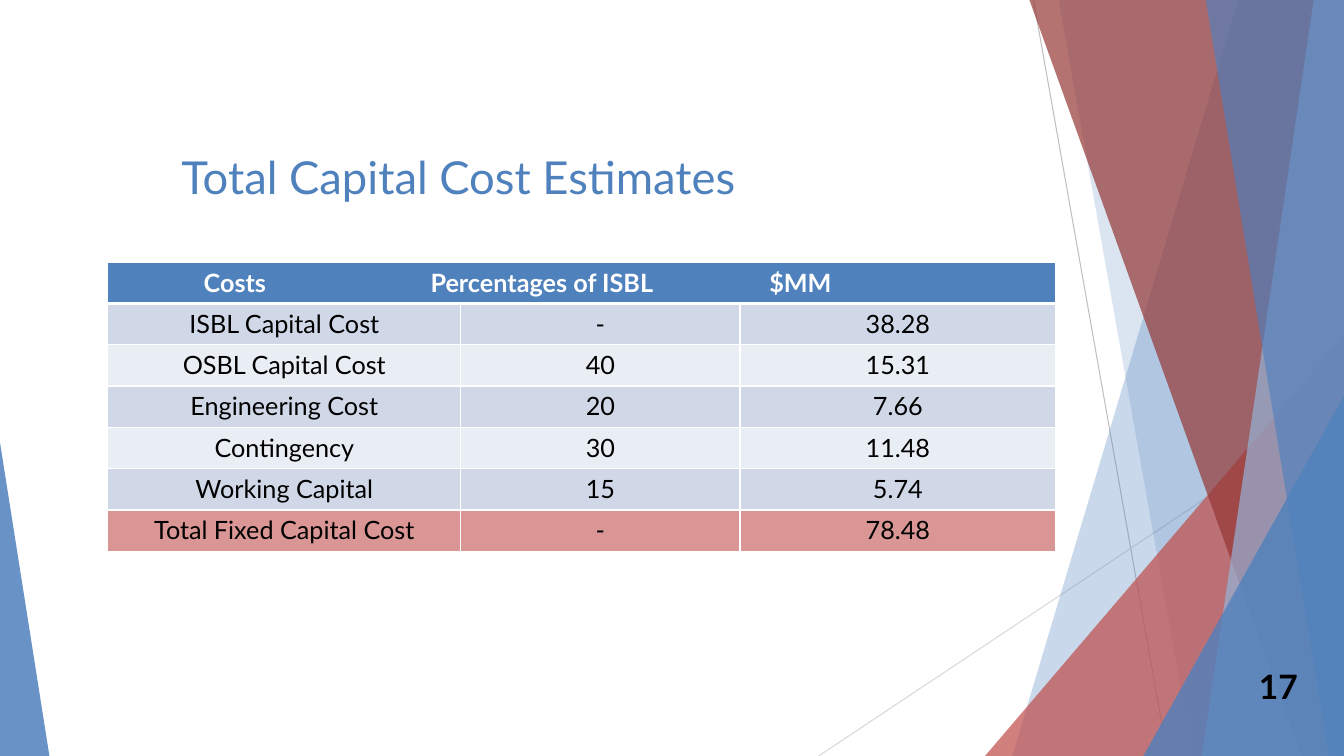
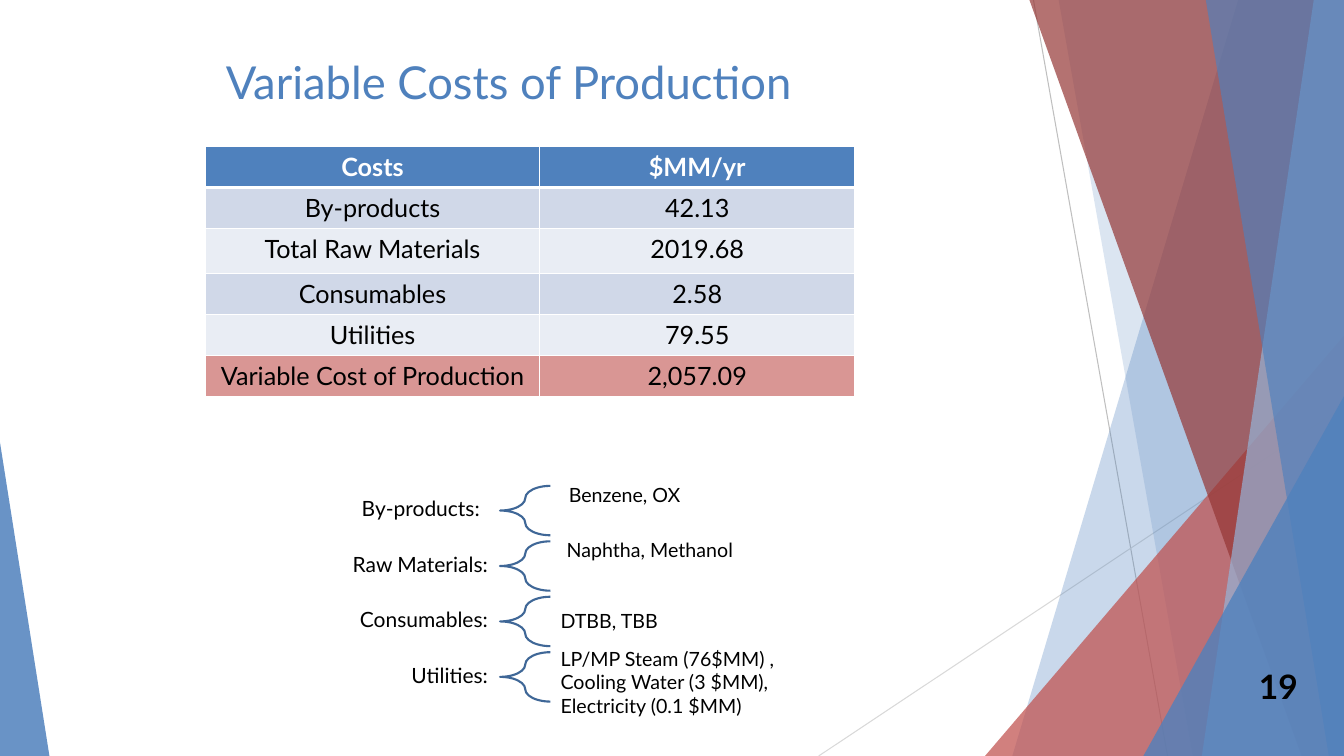
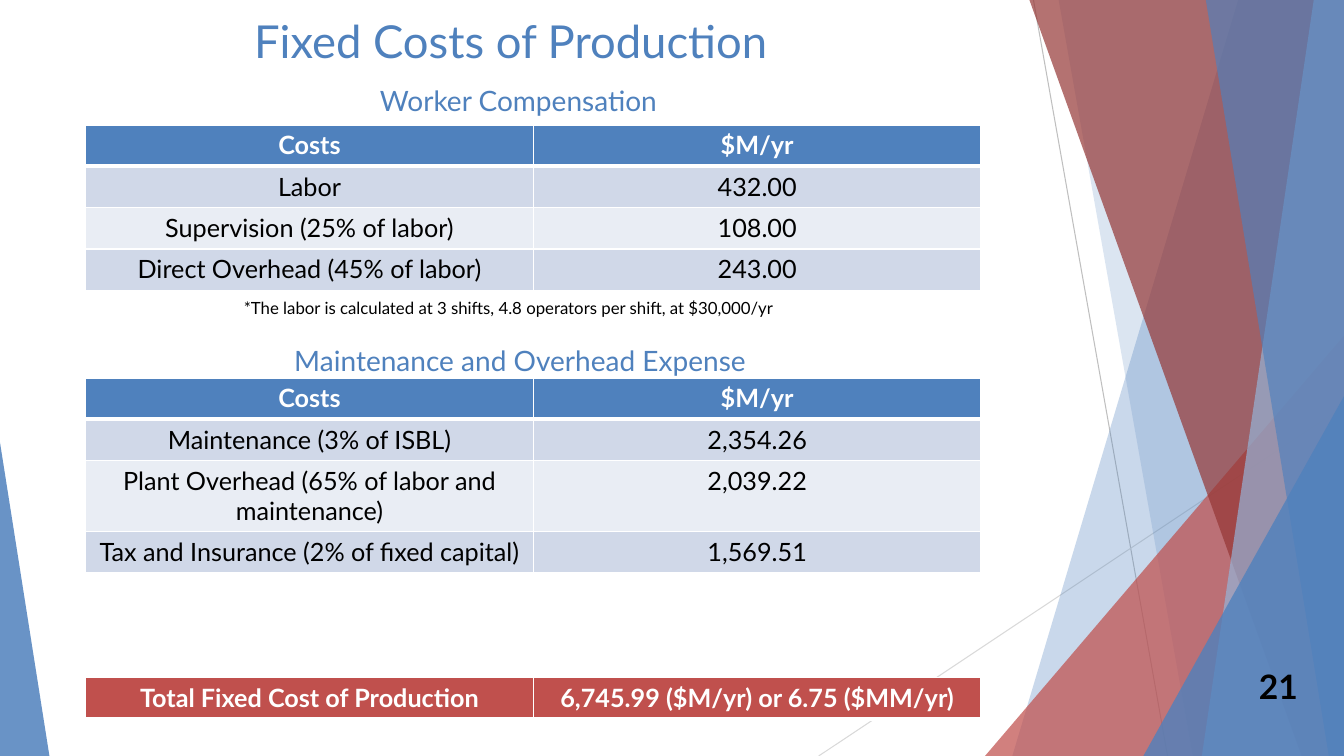
"""Build three slides of plant cost estimates with a shared faceted backdrop."""
from lxml import etree
from pptx import Presentation
from pptx.dml.color import RGBColor
from pptx.enum import shapes, text
from pptx.oxml.ns import qn
from pptx.util import Inches, Pt

FONT = "Lato"
COLORS = {
    "blue": "4F81BD", "sky": "95B3D7", "red": "C0504D", "maroon": "953735",
    "pink": "D99694", "band": "D0D8E8", "pale": "E9EDF4", "brace": "3F6797",
    "black": "000000", "white": "FFFFFF", "gray": "BFBFBF", "silver": "D9D9D9",
}
LEFT, CENTER, RIGHT = text.PP_ALIGN.LEFT, text.PP_ALIGN.CENTER, text.PP_ALIGN.RIGHT
TOP, MIDDLE = text.MSO_ANCHOR.TOP, text.MSO_ANCHOR.MIDDLE
WIDTH, HEIGHT, ROW = 13.33, 7.5, 0.41

RAYS = [((10.25, 0), (11.58, HEIGHT), "gray"), ((WIDTH, 4.03), (8.12, HEIGHT), "silver")]
FACETS = [
    ("strip", (12.28, 10.04), "blue", 30),
    ("strip", (10.5, 11.83), "blue", 20),
    ("peak", (9.77, 3.33, 3.56, 1), "red", 72),
    ("strip", (10.21, 12.91), "maroon", 70),
    ("strip", (13.03, 11.92), "sky", 70),
    ("strip", (11.96, 13.18), "blue", 65),
    ("peak", (11.34, 3.93, 1.99, 1), "blue", 80),
    ("peak", (0, 4.39, 0.49, 0), "blue", 85),
]

CAPITAL = [
    ("\tCosts\tPercentages of ISBL\t$MM", "", ""),
    ("ISBL Capital Cost", "-", "38.28"),
    ("OSBL Capital Cost", "40", "15.31"),
    ("Engineering Cost", "20", "7.66"),
    ("Contingency", "30", "11.48"),
    ("Working Capital", "15", "5.74"),
    ("Total Fixed Capital Cost", "-", "78.48"),
]
HEADING_TABS = (0.85, 3.1, 6.46)
VARIABLE = [
    ("Costs", "$MM/yr"),
    ("By-products", "42.13"),
    ("Total Raw Materials", "2019.68"),
    ("Consumables", "2.58"),
    ("Utilities", "79.55"),
    ("Variable Cost of Production", "2,057.09"),
]
WORKERS = [
    ("Costs", "$M/yr"),
    ("Labor", "432.00"),
    ("Supervision (25% of labor)", "108.00"),
    ("Direct Overhead (45% of labor)", "243.00"),
]
UPKEEP = [
    ("Costs", "$M/yr"),
    ("Maintenance (3% of ISBL)", "2,354.26"),
    ("Plant Overhead (65% of labor and maintenance)", "2,039.22"),
    ("Tax and Insurance (2% of fixed capital)", "1,569.51"),
]
FIXED_TOTAL = [("Total Fixed Cost of Production", "6,745.99 ($M/yr) or 6.75 ($MM/yr)")]
BREAKDOWN = [
    ("By-products:", 3.27, "Benzene, OX", (5.26, 4.66, 1.61, 0.53), RIGHT),
    ("Raw Materials:", 3.35, "Naphtha, Methanol", (5.5, 5.3, 1.98, 0.31), LEFT),
    ("Consumables:", 3.35, "DTBB, TBB", (5.44, 5.89, 1.98, 0.53), LEFT),
    ("Utilities:", 3.35, "LP/MP Steam (76$MM) , Cooling Water (3 $MM), Electricity (0.1 $MM)",
     (5.44, 6.49, 2.76, 0.55), LEFT),
]


def rgb(name):
    return RGBColor.from_string(COLORS[name])


def box(*lengths):
    return [Inches(length) for length in lengths]


def write(frame, words, size=18, color="black", bold=False, align=LEFT, spacing=None, tabs=()):
    line = frame.paragraphs[0]
    line.text = words
    line.alignment = align
    if spacing:
        line.line_spacing = spacing
    if tabs:
        stops = etree.SubElement(line._p.get_or_add_pPr(), qn("a:tabLst"))
        for stop in tabs:
            etree.SubElement(stops, qn("a:tab"), pos=str(Inches(stop)), algn="l")
    font = line.runs[0].font
    font.name, font.size, font.bold = FONT, Pt(size), bold
    font.color.rgb = rgb(color)


def add_text(slide, words, place, anchor=TOP, inset=(0.1, 0.05), **style):
    frame = slide.shapes.add_textbox(*box(*place)).text_frame
    frame.word_wrap = True
    frame.vertical_anchor = anchor
    frame.margin_left = frame.margin_right = Inches(inset[0])
    frame.margin_top = frame.margin_bottom = Inches(inset[1])
    write(frame, words, **style)


def add_facet(slide, kind, place, color, opacity):
    if kind == "strip":
        top, bottom = place
        outline = slide.shapes.build_freeform(*box(top, 0), scale=1.0)
        corners = [(WIDTH, 0), (WIDTH, HEIGHT), (bottom, HEIGHT)]
        outline.add_line_segments([box(*corner) for corner in corners], close=True)
        facet = outline.convert_to_shape()
    else:
        left, top, width, apex = place
        facet = slide.shapes.add_shape(
            shapes.MSO_SHAPE.ISOSCELES_TRIANGLE, *box(left, top, width, HEIGHT - top))
        facet.adjustments[0] = apex
    facet.shadow.inherit = False
    facet.line.fill.background()
    facet.fill.solid()
    facet.fill.fore_color.rgb = rgb(color)
    tint = facet.element.xpath("./p:spPr/a:solidFill/a:srgbClr")[0]
    etree.SubElement(tint, qn("a:alpha"), val=str(opacity * 1000))
    return facet


def add_ray(slide, start, end, color):
    ray = slide.shapes.add_connector(shapes.MSO_CONNECTOR.STRAIGHT, *box(*start, *end))
    ray.line.color.rgb = rgb(color)
    ray.line.width = Pt(0.75)
    etree.SubElement(ray.element.spPr, qn("a:effectLst"))
    return ray


def move_backdrop(slide, layout):
    backdrop = [add_ray(slide, *ray) for ray in RAYS]
    backdrop += [add_facet(slide, *facet) for facet in FACETS]
    for index, part in enumerate(backdrop):
        part.element.xpath(".//p:cNvPr")[0].set("id", str(100 + index))
        layout.shapes.element.insert(2 + index, part.element)


def add_slide(deck, title, place, number):
    slide = deck.slides.add_slide(deck.slide_layouts[5])
    heading = slide.shapes.title
    heading.left, heading.top, heading.width, heading.height = box(*place)
    frame = heading.text_frame
    frame.word_wrap = True
    frame.auto_size = text.MSO_AUTO_SIZE.NONE
    frame.vertical_anchor = TOP
    write(frame, title, size=32.4, color="blue")
    add_text(slide, number, (12.22, 6.61, 0.75, 0.4), MIDDLE, size=24, bold=True, align=RIGHT)
    return slide


def add_borders(cell, first_row):
    sides = {"a:lnL": 1, "a:lnR": 1, "a:lnB": 3 if first_row else 1}
    if first_row:
        sides = {"a:lnL": 1, "a:lnR": 1, "a:lnT": 1, "a:lnB": 3}
    for side, width in sides.items():
        edge = etree.SubElement(cell._tc.get_or_add_tcPr(), qn(side), w=str(Pt(width)))
        paint = etree.SubElement(edge, qn("a:solidFill"))
        etree.SubElement(paint, qn("a:srgbClr"), val=COLORS["white"])


def add_costs(slide, rows, left, top, columns, header="blue", total=False, heights=None, tabs=()):
    heights = heights or {}
    tall = [heights.get(index, ROW) for index in range(len(rows))]
    table = slide.shapes.add_table(
        len(rows), len(columns), *box(left, top, sum(columns), sum(tall))).table
    for column, width in zip(table.columns, columns):
        column.width = Inches(width)
    for r, row in enumerate(rows):
        table.rows[r].height = Inches(tall[r])
        fill = header if r == 0 else ("pale", "band")[r % 2]
        if total and r == len(rows) - 1:
            fill = "pink"
        for c, words in enumerate(row):
            cell = table.cell(r, c)
            add_borders(cell, r == 0)
            cell.fill.solid()
            cell.fill.fore_color.rgb = rgb(fill)
            if words:
                tabbed = "\t" in words
                write(cell.text_frame, words, color="black" if r else "white", bold=r == 0,
                      align=LEFT if tabbed else CENTER, tabs=tabs if tabbed else ())
    if tabs:
        table.cell(0, 0).merge(table.cell(0, len(columns) - 1))


def add_breakdown(slide):
    inset = (0.12, 0.04)
    for index, (label, left, items, place, align) in enumerate(BREAKDOWN):
        top = 4.82 + 0.55 * index
        add_text(slide, label, (left, top + 0.08, 1.61, 0.32), MIDDLE, inset,
                 size=15, align=RIGHT, spacing=0.9)
        brace = slide.shapes.add_shape(shapes.MSO_SHAPE.LEFT_BRACE, *box(4.96, top, 0.5, 0.49))
        brace.adjustments[0] = 0.35
        brace.shadow.inherit = False
        brace.fill.background()
        brace.line.color.rgb = rgb("brace")
        brace.line.width = Pt(1.5)
        add_text(slide, items, place, MIDDLE, inset, size=14, align=align,
                 spacing=0.9 if align == RIGHT else None)


def main():
    deck = Presentation()
    deck.slide_width, deck.slide_height = box(WIDTH, HEIGHT)

    capital = add_slide(deck, "Total Capital Cost Estimates", (1.7, 1.43, 8.47, 0.62), "17")
    move_backdrop(capital, deck.slide_layouts[5])
    add_costs(capital, CAPITAL, 1.07, 2.6, (3.5, 2.77, 3.13), total=True, tabs=HEADING_TABS)

    variable = add_slide(deck, "Variable Costs of Production", (2.14, 0.49, 8.49, 1.24), "19")
    add_costs(variable, VARIABLE, 2.04, 1.45, (3.31, 3.13), total=True, heights={2: 0.44})
    add_breakdown(variable)

    fixed = add_slide(deck, "Fixed Costs of Production", (2.42, 0.08, 8.69, 0.97), "21")
    halves = (4.44, 4.44)
    add_costs(fixed, WORKERS, 0.85, 1.24, halves)
    add_costs(fixed, UPKEEP, 0.85, 3.75, halves, heights={2: 0.7})
    add_costs(fixed, FIXED_TOTAL, 0.85, 6.72, halves, header="red")
    add_text(fixed, "Worker Compensation", (3.67, 0.78, 5.14, 0.92), size=20, color="blue")
    add_text(fixed, "Maintenance and Overhead Expense", (2.82, 3.36, 5.14, 0.92),
             size=20, color="blue")
    add_text(fixed, "*The labor is calculated at 3 shifts, 4.8 operators per shift, at $30,000/yr",
             (2.32, 2.9, 8.89, 0.3), size=12)
    deck.save("out.pptx")


if __name__ == "__main__":
    main()
